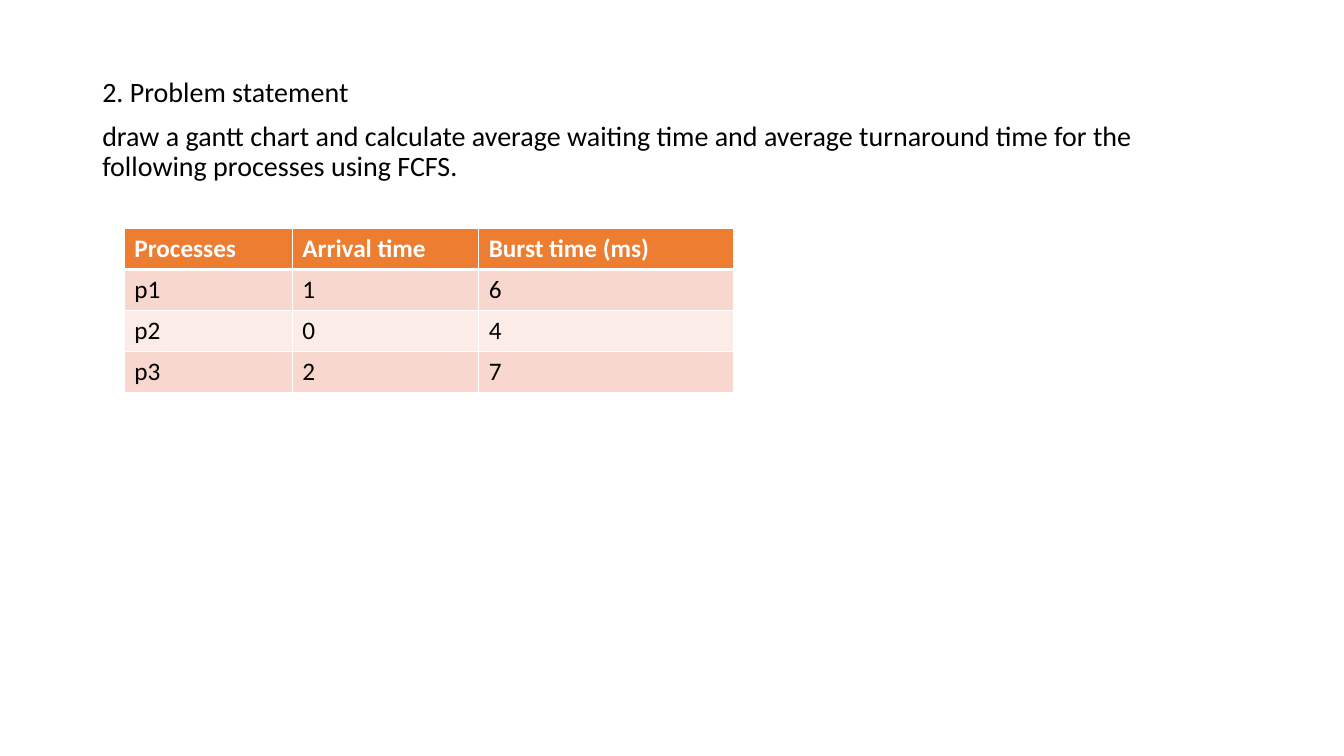
import pptx
import pptx.dml.color
import pptx.oxml
import pptx.oxml.ns
import pptx.util

Pt = pptx.util.Pt
RGBColor = pptx.dml.color.RGBColor

WHITE = RGBColor(0xFF, 0xFF, 0xFF)
BLACK = RGBColor(0x00, 0x00, 0x00)
ORANGE = RGBColor(0xED, 0x7D, 0x31)
PEACH = RGBColor(0xF8, 0xD7, 0xCE)
PALE_PEACH = RGBColor(0xFC, 0xEC, 0xE8)

STATEMENT = [
    "2. Problem statement",
    "draw a gantt chart and calculate average waiting time and average turnaround time "
    "for the following processes using FCFS.",
]
PROCESSES = [
    ["Processes", "Arrival time", "Burst time (ms)"],
    ["p1", "1", "6"],
    ["p2", "0", "4"],
    ["p3", "2", "7"],
]


class SlideBuilder:
    font_name = "Calibri"

    def __init__(self, slide):
        self.slide = slide

    def add_span(self, para, text, size, color, bold=False):
        span = para.add_run()
        span.text = text
        formats = {"name": self.font_name, "size": Pt(size), "bold": bold}
        for name, value in formats.items():
            setattr(span.font, name, value)
        span.font.color.rgb = color

    def add_text(self, left, top, width, height, lines, size, gap):
        box = self.slide.shapes.add_textbox(Pt(left), Pt(top), Pt(width), Pt(height))
        frame = box.text_frame
        frame.word_wrap = True
        for index, line in enumerate(lines):
            para = frame.add_paragraph() if index else frame.paragraphs[0]
            formats = {"line_spacing": 0.9, "space_before": Pt(gap if index else 0)}
            for name, value in formats.items():
                setattr(para, name, value)
            self.add_span(para, line, size, BLACK)

    def add_borders(self, cell, widths):
        properties = cell._tc.get_or_add_tcPr()
        for side, width in widths.items():
            properties.append(pptx.oxml.parse_xml(
                f'<a:ln{side} {pptx.oxml.ns.nsdecls("a")} w="{Pt(width)}">'
                f'<a:solidFill><a:srgbClr val="{WHITE}"/></a:solidFill></a:ln{side}>'
            ))

    def add_table(self, left, top, widths, row_height, rows, size):
        frame = self.slide.shapes.add_table(
            len(rows), len(widths), Pt(left), Pt(top),
            Pt(sum(widths)), Pt(row_height * len(rows)),
        )
        table = frame.table
        for column, width in zip(table.columns, widths):
            column.width = Pt(width)
        for row_index, values in enumerate(rows):
            table.rows[row_index].height = Pt(row_height)
            header = row_index == 0
            fill = ORANGE if header else (PALE_PEACH, PEACH)[row_index % 2]
            edges = {"L": 1, "R": 1, "T": 3 if row_index == 1 else 1, "B": 3 if header else 1}
            for column_index, value in enumerate(values):
                cell = table.cell(row_index, column_index)
                self.add_borders(cell, edges)
                cell.fill.solid()
                cell.fill.fore_color.rgb = fill
                para = cell.text_frame.paragraphs[0]
                self.add_span(para, value, size, WHITE if header else BLACK, header)


def main():
    deck = pptx.Presentation()
    deck.slide_width, deck.slide_height = Pt(960), Pt(540)
    page = SlideBuilder(deck.slides.add_slide(deck.slide_layouts[6]))
    page.add_text(66, 52.2, 828, 487.8, STATEMENT, size=20, gap=10)
    page.add_table(88.8, 163.3, [120, 133.2, 182.2], 29.2, PROCESSES, size=18)
    deck.save("out.pptx")


if __name__ == "__main__":
    main()
